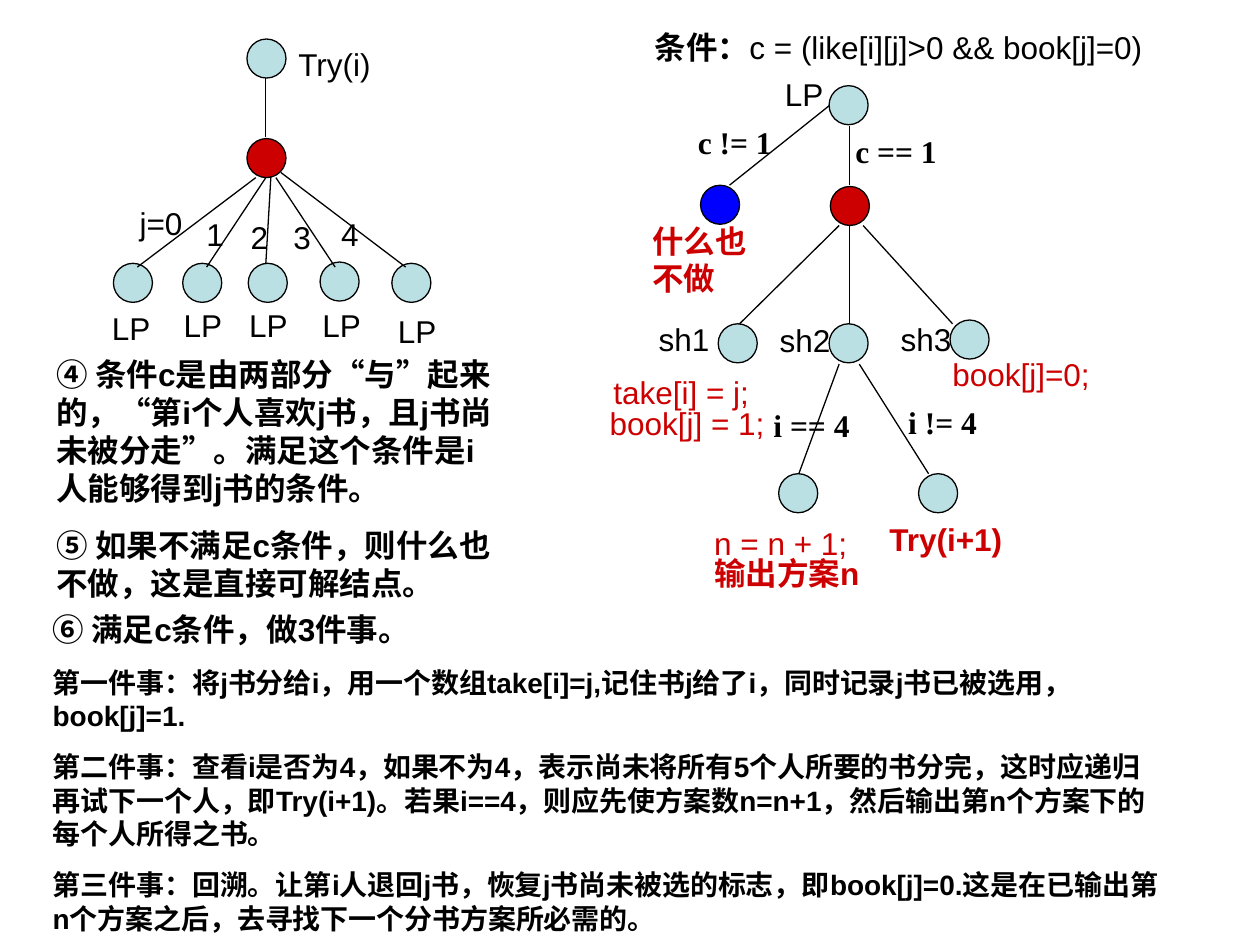
from pptx import Presentation
from pptx.dml.color import RGBColor
from pptx.enum.shapes import MSO_CONNECTOR, MSO_SHAPE
from pptx.enum.text import MSO_AUTO_SIZE
from pptx.oxml.ns import qn
from pptx.util import Inches, Pt
from lxml.etree import SubElement

BLACK, RED, BLUE, PALE = "000000", "CC0000", "0000FF", "BBE0E3"
NODE = 0.31
ROW = 0.4

# Label styles: font, bold, colour
PLAIN = ("Arial", False, BLACK)
STRONG = ("Arial", True, BLACK)
TEST = ("Times New Roman", True, BLACK)
ACTION = ("Arial", False, RED)
RESULT = ("Arial", True, RED)
NOTHING = ("Times New Roman", True, RED)

# Each tree: nodes (left, top, fill), edges (x1, y1, x2, y2),
# labels (left, top, width, text, style)
choice_tree = {
    "nodes": [(1.96, 0.31, PALE), (1.96, 1.1, RED)] + [
        (left, top, PALE) for left, top in
        [(0.9, 2.09), (1.45, 2.09), (1.97, 2.09), (2.54, 2.08), (3.11, 2.09)]],
    "edges": [(2.11, 0.62, 2.11, 1.09), (2.03, 1.41, 1.09, 2.12),
              (2.11, 1.41, 1.64, 2.12), (2.15, 1.4, 2.11, 2.09),
              (2.19, 1.41, 2.66, 2.12), (2.23, 1.37, 3.22, 2.12)],
    "labels": [(2.27, 0.31, 1.34, "Try(i)", PLAIN), (1.01, 1.57, 0.63, "j=0", PLAIN)] + [
        (left, top, 0.31, digit, PLAIN) for left, top, digit in
        [(1.54, 1.66, "1"), (1.89, 1.68, "2"), (2.23, 1.68, "3"), (2.61, 1.66, "4")]] + [
        (left, top, 0.63, "LP", PLAIN) for left, top in
        [(0.79, 2.4), (1.36, 2.38), (1.88, 2.38), (2.46, 2.38), (3.06, 2.43)]],
}

condition_tree = {
    "nodes": [(6.58, 0.68, PALE), (5.56, 1.47, BLUE), (6.59, 1.48, RED),
              (5.7, 2.57, PALE), (6.58, 2.57, PALE), (7.54, 2.54, PALE),
              (6.18, 3.76, PALE), (7.29, 3.76, PALE)],
    "edges": [(6.58, 0.84, 5.79, 1.47), (6.74, 1, 6.74, 1.47),
              (6.74, 1.79, 6.74, 2.57), (6.66, 1.79, 5.87, 2.57),
              (6.85, 1.79, 7.56, 2.57), (6.66, 2.89, 6.34, 3.76),
              (6.82, 2.89, 7.37, 3.76)],
    "labels": [(6.13, 0.55, 0.79, "LP", PLAIN),
               (5.44, 0.93, 1.02, "c != 1", TEST), (6.69, 1, 1.02, "c == 1", TEST),
               (5.13, 2.49, 0.63, "sh1", PLAIN), (6.09, 2.5, 0.63, "sh2", PLAIN),
               (7.05, 2.49, 0.63, "sh3", PLAIN),
               (4.77, 2.91, 1.42, "take[i] = j;", ACTION),
               (6.04, 3.17, 1.02, "i == 4", TEST), (7.11, 3.15, 1.02, "i != 4", TEST),
               (5.57, 4.11, 1.42, "n = n + 1;", ACTION),
               (5.57, 4.35, 1.42, "输出方案n", RESULT),
               (6.96, 4.08, 1.42, "Try(i+1)", RESULT),
               (7.46, 2.77, 1.42, "book[j]=0;", ACTION)],
}

condition = [("条件：", STRONG), ("c = (like[i][j]>0 && book[j]=0)", PLAIN)]

# Explanations: text, size, space before
rules = [
    ("④ 条件c是由两部分“与”起来的，“第i个人喜欢j书，且j书尚未被分走”。"
     "满足这个条件是i人能够得到j书的条件。", 18, 0),
    ("⑤ 如果不满足c条件，则什么也不做，这是直接可解结点。", 18, 11.2),
]
tasks = [
    ("⑥ 满足c条件，做3件事。", 18, 0),
    ("第一件事：将j书分给i，用一个数组take[i]=j,记住书j给了i，"
     "同时记录j书已被选用，book[j]=1.", 16, 10),
    ("第二件事：查看i是否为4，如果不为4，表示尚未将所有5个人所要的书分完，"
     "这时应递归再试下一个人，即Try(i+1)。若果i==4，则应先使方案数n=n+1，"
     "然后输出第n个方案下的每个人所得之书。", 16, 10),
    ("第三件事：回溯。让第i人退回j书，恢复j书尚未被选的标志，即book[j]=0."
     "这是在已输出第n个方案之后，去寻找下一个分书方案所必需的。", 16, 10),
]


def color(value):
    return RGBColor.from_string(value)


def add_box(shapes, left, top, width, height, wrap=True):
    box = shapes.add_textbox(Inches(left), Inches(top), Inches(width), Inches(height))
    box.text_frame.word_wrap = wrap
    box.text_frame.auto_size = MSO_AUTO_SIZE.SHAPE_TO_FIT_TEXT
    return box.text_frame


def add_span(para, text, style, size=18):
    span = para.add_run()
    span.text = text
    span.font.name, span.font.bold, fill = style
    span.font.size = Pt(size)
    span.font.color.rgb = color(fill)


def add_label(shapes, left, top, width, text, style, height=ROW, wrap=True):
    frame = add_box(shapes, left, top, width, height, wrap)
    add_span(frame.paragraphs[0], text, style)


def add_explanation(shapes, left, top, width, height, paragraphs):
    frame = add_box(shapes, left, top, width, height)
    for index, (text, size, before) in enumerate(paragraphs):
        para = frame.add_paragraph() if index else frame.paragraphs[0]
        para.space_before = Pt(before)
        add_span(para, text, STRONG, size)


def add_tree(page, tree):
    shapes = page.shapes.add_group_shape().shapes
    for left, top, fill in tree["nodes"]:
        node = shapes.add_shape(MSO_SHAPE.OVAL, Inches(left), Inches(top),
                                Inches(NODE), Inches(NODE))
        node.shadow.inherit = False
        node.fill.solid()
        node.fill.fore_color.rgb = color(fill)
        node.line.color.rgb = color(BLACK)
        node.line.width = Pt(0.75)
    for edge in tree["edges"]:
        line = shapes.add_connector(MSO_CONNECTOR.STRAIGHT, *map(Inches, edge))
        line.line.color.rgb = color(BLACK)
        line.line.width = Pt(0.75)
        SubElement(line._element.spPr, qn("a:effectLst"))
    for label in tree["labels"]:
        add_label(shapes, *label)
    return shapes


deck = Presentation()
deck.slide_width, deck.slide_height = Inches(10), Inches(7.5)
page = deck.slides.add_slide(deck.slide_layouts[6])

# Search trees
add_tree(page, choice_tree)
branches = add_tree(page, condition_tree)

# Condition heading and the labels with their own wrapping
heading = add_box(branches, 5.1, 0.17, 4.33, ROW).paragraphs[0]
for text, style in condition:
    add_span(heading, text, style)
add_label(branches, 5.08, 1.71, 1.02, "什么也不做", NOTHING, height=0.7)
add_label(branches, 4.74, 3.16, 1.43, "book[j] = 1;", ACTION, wrap=False)

# Explanations
add_explanation(page.shapes, 0.35, 2.77, 3.7, 2.06, rules)
add_explanation(page.shapes, 0.32, 4.79, 8.98, 2.69, tasks)

deck.save("out.pptx")
